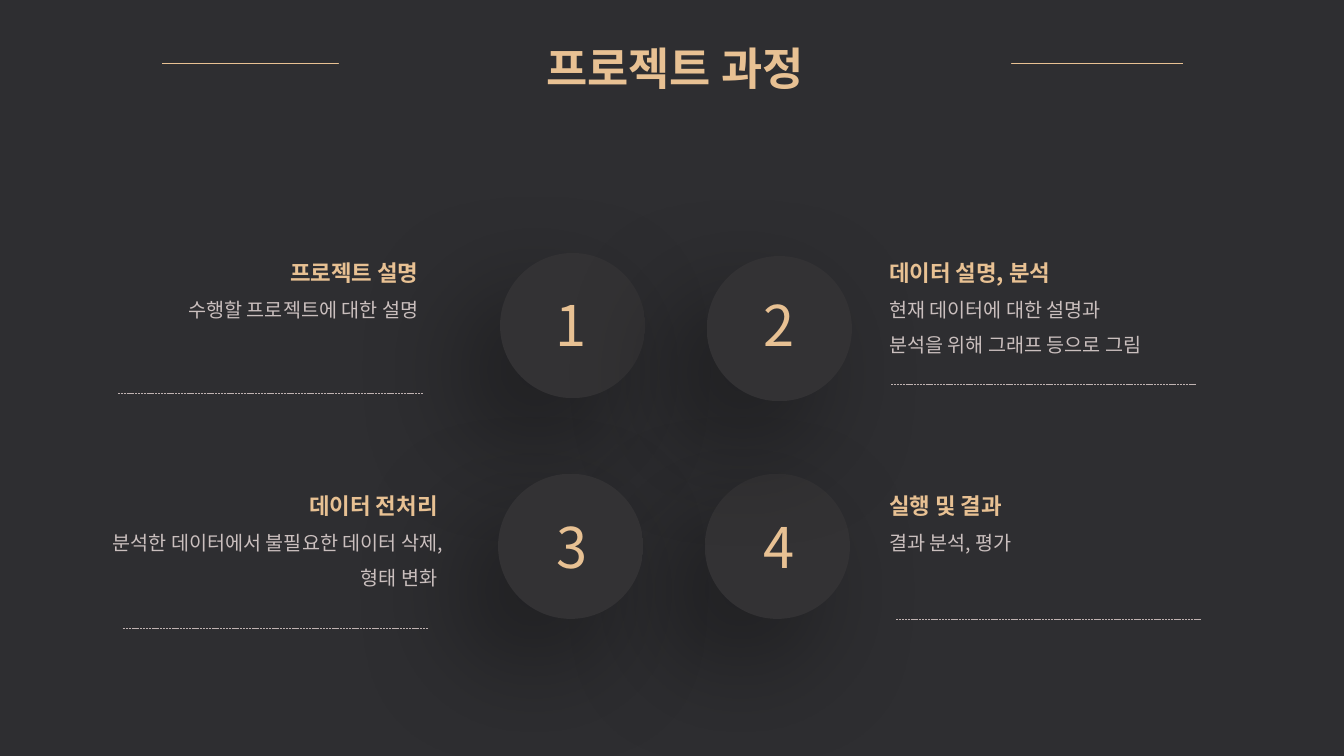
"""Build the project process slide: four numbered circles with captions."""
from lxml.etree import SubElement
from pptx import Presentation
from pptx.dml.color import RGBColor
from pptx.enum.dml import MSO_LINE
from pptx.enum.shapes import MSO_CONNECTOR, MSO_SHAPE
from pptx.enum.text import MSO_ANCHOR, MSO_AUTO_SIZE, PP_ALIGN
from pptx.oxml.ns import qn
from pptx.util import Inches, Pt

PX = Inches(1) // 100
FONT = "Noto Sans CJK KR"
BACKGROUND = RGBColor(0x2E, 0x2E, 0x31)
CIRCLE_START = RGBColor(0x33, 0x32, 0x34)
CIRCLE_END = RGBColor(0x31, 0x30, 0x33)
GOLD = RGBColor(0xE8, 0xC1, 0x93)
BODY = RGBColor(0xCA, 0xBF, 0xBE)
RULE = RGBColor(0xBF, 0xB2, 0xB1)


def add_rule(left, right, y, color, dash=None):
    line = slide.shapes.add_connector(
        MSO_CONNECTOR.STRAIGHT, left * PX, y * PX, right * PX, y * PX)
    line.line.color.rgb = color
    line.line.width = Pt(0.5)
    line.line.dash_style = dash
    SubElement(line._element.spPr, qn("a:effectLst"))


def write(shape, lines, align, spacing=None):
    frame = shape.text_frame
    frame.word_wrap = True
    frame.auto_size = MSO_AUTO_SIZE.SHAPE_TO_FIT_TEXT
    for index, (text, size, color, bold) in enumerate(lines):
        paragraph = frame.add_paragraph() if index else frame.paragraphs[0]
        paragraph.text = text
        paragraph.alignment = align
        paragraph.line_spacing = spacing
        font = paragraph.font
        font.size = Pt(size)
        font.bold = bold
        font.color.rgb = color
        font.name = FONT
        SubElement(font._element, qn("a:ea"), typeface=FONT)


presentation = Presentation()
presentation.slide_width = 1333 * PX
presentation.slide_height = 750 * PX
slide = presentation.slides.add_slide(presentation.slide_layouts[5])
slide.background.fill.solid()
slide.background.fill.fore_color.rgb = BACKGROUND

for left, top in [(699, 470), (496, 251), (701, 254), (494, 470)]:
    circle = slide.shapes.add_shape(
        MSO_SHAPE.OVAL, left * PX, top * PX, 144 * PX, 144 * PX)
    circle.fill.gradient()
    circle.fill.gradient_angle = 45
    for stop, color in zip(circle.fill.gradient_stops, (CIRCLE_START, CIRCLE_END)):
        stop.color.rgb = color
    circle.line.fill.background()
    circle.shadow.inherit = False
    effects = circle._element.spPr.find(qn("a:effectLst"))
    shadow = SubElement(
        effects, qn("a:outerShdw"), blurRad=str(Pt(87)), dist=str(Pt(41)),
        dir=str(130 * 60000), algn="ctr", rotWithShape="0")
    shadow_color = SubElement(shadow, qn("a:srgbClr"), val="000000")
    SubElement(shadow_color, qn("a:alpha"), val="40000")

add_rule(161, 1173, 63, GOLD)

title = slide.shapes.title
title.left, title.top, title.width, title.height = 336 * PX, 14 * PX, 667 * PX, 80 * PX
title.fill.solid()
title.fill.fore_color.rgb = BACKGROUND
title.text_frame.vertical_anchor = MSO_ANCHOR.MIDDLE
write(title, [("프로젝트 과정", 32, GOLD, True)], PP_ALIGN.CENTER, 1.5)
slide.shapes._spTree.append(title._element)

captions = [
    (82, 239, 81, PP_ALIGN.RIGHT, "프로젝트 설명", "수행할 프로젝트에 대한 설명"),
    (872, 239, 117, PP_ALIGN.LEFT, "데이터 설명, 분석",
     "현재 데이터에 대한 설명과\n분석을 위해 그래프 등으로 그림"),
    (101, 470, 117, PP_ALIGN.RIGHT, "데이터 전처리",
     "분석한 데이터에서 불필요한 데이터 삭제, 형태 변화"),
    (872, 470, 81, PP_ALIGN.LEFT, "실행 및 결과", "결과 분석, 평가"),
]
for left, top, height, align, heading, detail in captions:
    caption = slide.shapes.add_textbox(left * PX, top * PX, 343 * PX, height * PX)
    write(caption, [(heading, 16, GOLD, True), (detail, 14, BODY, False)], align, 1.5)

for left, y in [(117, 390), (884, 381), (122, 623), (889, 614)]:
    add_rule(left, left + 303, y, RULE, MSO_LINE.SQUARE_DOT)

for number, (left, top) in enumerate([(539, 283), (745, 283), (540, 504), (745, 504)], 1):
    label = slide.shapes.add_textbox(left * PX, top * PX, 55 * PX, 77 * PX)
    write(label, [(str(number), 40, GOLD, False)], PP_ALIGN.CENTER)

presentation.save("out.pptx")
